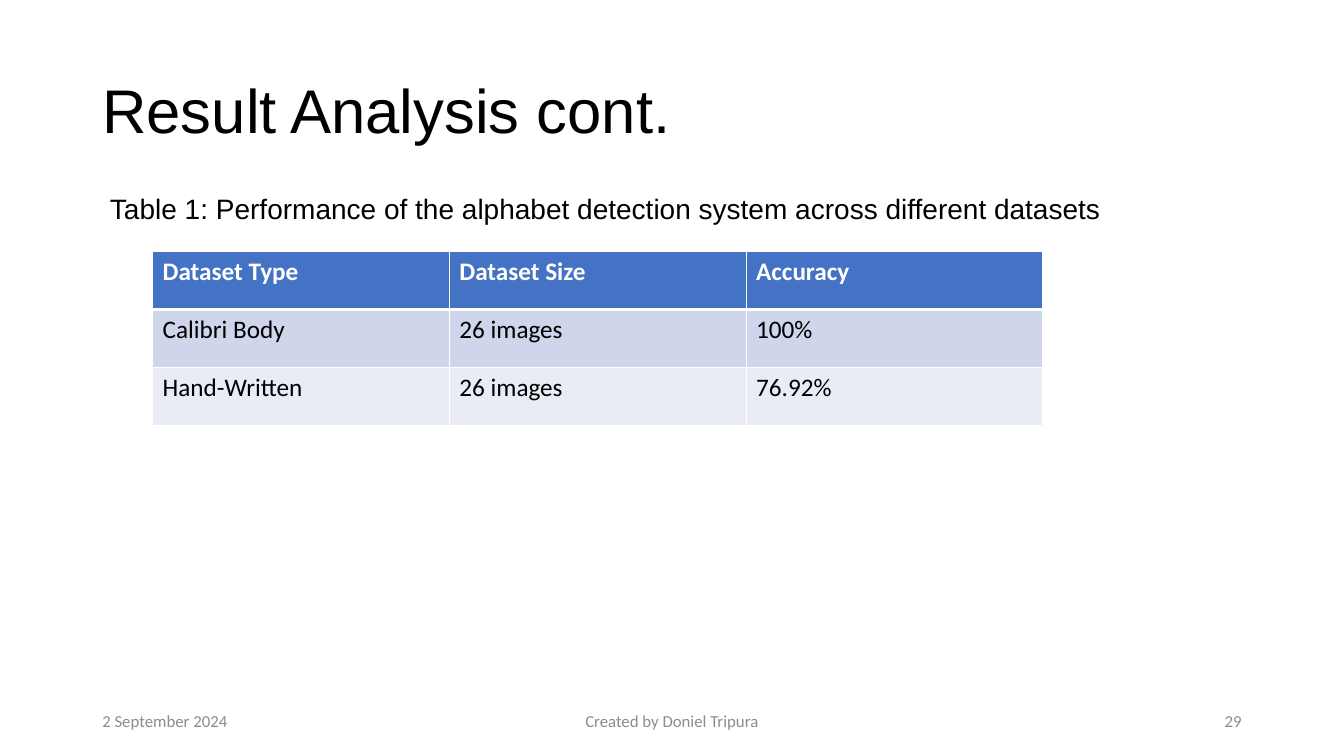
from lxml.etree import SubElement
from pptx import Presentation
from pptx.dml.color import RGBColor
from pptx.enum.text import MSO_ANCHOR, PP_ALIGN
from pptx.oxml.ns import qn
from pptx.util import Pt

BLACK, WHITE, GREY = "000000", "FFFFFF", "8C8C8C"

HEAD = dict(name="Arial", size=44, color=BLACK)
NOTE = dict(name="Arial", size=20, color=BLACK)
FOOT = dict(name="Calibri", size=12, color=GREY)
TOP = dict(name="Calibri", size=18, color=WHITE, bold=True)
BODY = dict(name="Calibri", size=18, color=BLACK, bold=False)

MID, LEFT = MSO_ANCHOR.MIDDLE, PP_ALIGN.LEFT

# text, (left, top, width, height), font, anchor, paragraph format
TEXTS = [
    ("Result Analysis cont.", (66, 28.75, 828, 104.4), HEAD, MID,
     dict(alignment=LEFT, line_spacing=0.9)),
    ("2 September 2024", (66, 500.5, 216, 28.75), FOOT, MID,
     dict(alignment=LEFT)),
    ("29", (678, 500.5, 216, 28.75), FOOT, MID,
     dict(alignment=PP_ALIGN.RIGHT)),
    ("Created by Doniel Tripura", (318, 500.5, 324, 28.75), FOOT, MID,
     dict(alignment=PP_ALIGN.CENTER)),
    ("Table 1: Performance of the alphabet detection system across "
     "different datasets", (71.5, 136, 761, 32.4), NOTE, MSO_ANCHOR.TOP,
     dict(alignment=LEFT, line_spacing=0.9, space_before=Pt(10))),
]

ROWS = [
    ("Dataset Type", "Dataset Size", "Accuracy"),
    ("Calibri Body", "26 images", "100%"),
    ("Hand-Written", "26 images", "76.92%"),
]
FILLS = ["4472C4", "CFD5EA", "E9EBF5"]
GRID_X, GRID_Y, COL_W, ROW_H = 109, 179.5, 212, 41.6


def rgb(code):
    return RGBColor.from_string(code)


def style(run, look):
    for key, val in look.items():
        if key == "color":
            run.font.color.rgb = rgb(val)
        else:
            setattr(run.font, key, Pt(val) if key == "size" else val)


def add_text(slide, text, place, look, anchor, form):
    frame = slide.shapes.add_textbox(*map(Pt, place)).text_frame
    frame.word_wrap = True
    frame.vertical_anchor = anchor
    par = frame.paragraphs[0]
    for key, val in form.items():
        setattr(par, key, val)
    run = par.add_run()
    run.text = text
    style(run, look)


def add_edges(cell, widths):
    """Draw white borders; widths maps L, R, T, B to points."""
    props = cell._tc.get_or_add_tcPr()
    for side, width in widths.items():
        line = SubElement(props, qn(f"a:ln{side}"), w=str(Pt(width)))
        fill = SubElement(line, qn("a:solidFill"))
        SubElement(fill, qn("a:srgbClr"), val=WHITE)


def add_grid(slide):
    count, cols = len(ROWS), len(ROWS[0])
    table = slide.shapes.add_table(
        count, cols, Pt(GRID_X), Pt(GRID_Y),
        Pt(COL_W * cols), Pt(ROW_H * count)).table
    for col in table.columns:
        col.width = Pt(COL_W)
    for i, (row, shade) in enumerate(zip(ROWS, FILLS)):
        table.rows[i].height = Pt(ROW_H)
        edges = dict(L=1, R=1, T=3 if i == 1 else 1, B=3 if i == 0 else 1)
        for j, text in enumerate(row):
            cell = table.cell(i, j)
            add_edges(cell, edges)
            cell.fill.solid()
            cell.fill.fore_color.rgb = rgb(shade)
            run = cell.text_frame.paragraphs[0].add_run()
            run.text = text
            style(run, BODY if i else TOP)


def main():
    deck = Presentation()
    deck.slide_width, deck.slide_height = Pt(960), Pt(540)
    slide = deck.slides.add_slide(deck.slide_layouts[6])
    for item in TEXTS:
        add_text(slide, *item)
    add_grid(slide)
    deck.save("out.pptx")


if __name__ == "__main__":
    main()
